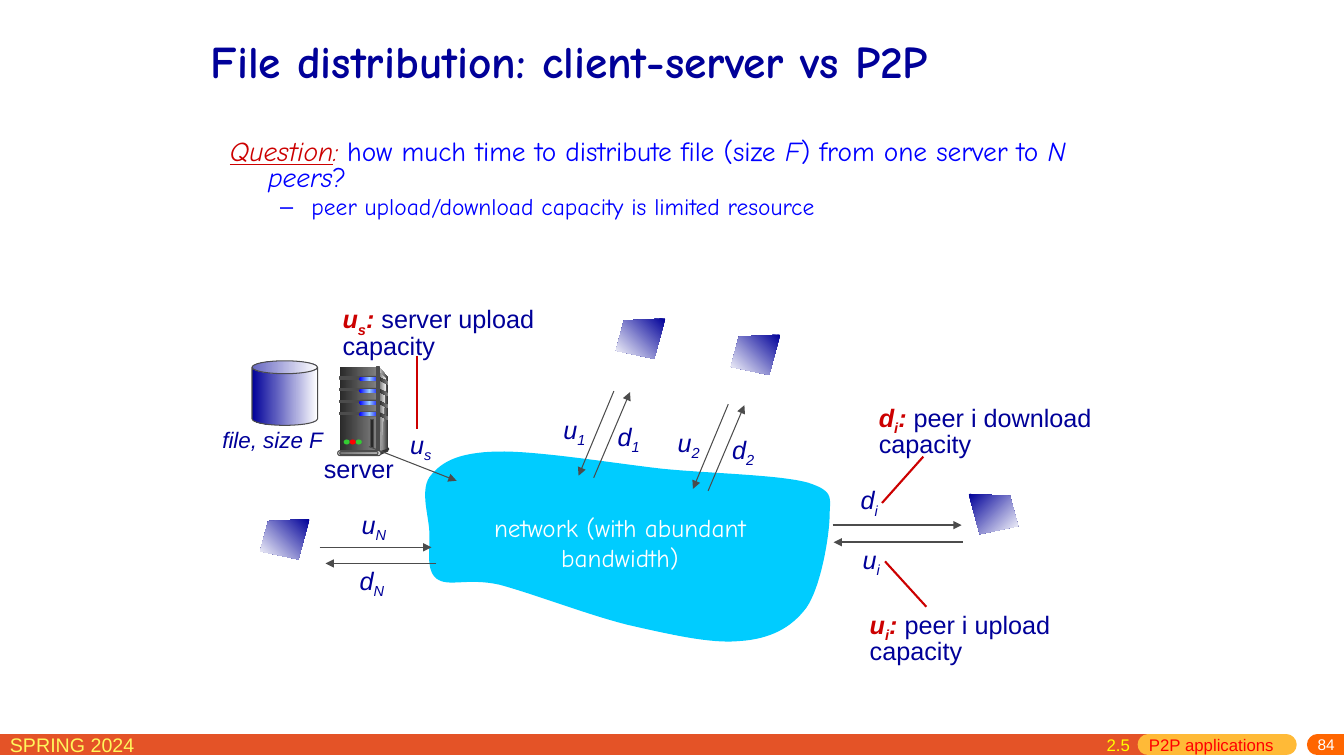
from copy import deepcopy
from dataclasses import dataclass

from pptx import Presentation, util as u
from pptx.dml.color import RGBColor
from pptx.enum import shapes, text
from pptx.oxml import ns, xmlchemy

CELL = u.Inches(0.1)


@dataclass(frozen=True)
class Theme:
    navy: str = "000099"
    blue: str = "0000FF"
    red: str = "CC0000"
    grey: str = "4C4C4C"
    white: str = "FFFFFF"
    cloud: str = "00CCFF"
    bar: str = "E45327"
    tab: str = "FFBA37"
    number: str = "FF6600"
    term: str = "FFF65C"
    yellow: str = "FFFF00"
    bright_red: str = "FF0000"
    green: str = "33CC33"
    black: str = "292929"
    dark: str = "333333"
    middle: str = "808080"
    light: str = "DDDDDD"
    pale: str = "F8F8F8"
    sky: str = "99CCFF"
    steel: str = "777777"
    silver: str = "B2B2B2"
    sans: str = "Arial"
    comic: str = "Comic Neue"
    title: float = 32.4
    question: float = 19.6
    bullet: float = 16.8
    label: float = 18
    caption: float = 16
    term_size: float = 14
    section: float = 12
    page: float = 11


THEME = Theme()
ARROWS = "triangle"
Point = tuple[float, float]


@dataclass(frozen=True)
class Place:
    column: float
    row: float
    columns: float
    rows: float


@dataclass(frozen=True)
class Span:
    words: str
    color: str = THEME.navy
    size: float = THEME.label
    font: str = THEME.sans
    bold: bool = False
    italic: bool = False
    underline: bool = False
    low: bool = False


@dataclass(frozen=True)
class Label:
    place: Place
    spans: tuple[Span, ...]
    align: text.PP_ALIGN = text.PP_ALIGN.LEFT
    spacing: float = 1.0


@dataclass(frozen=True)
class Line:
    start: Point
    end: Point
    color: str = THEME.grey
    width: float = 0.75
    arrow: bool = True


def cells(count: float) -> int:
    return round(count * CELL)


def move(shape, place: Place) -> None:
    shape.left, shape.top = cells(place.column), cells(place.row)
    shape.width, shape.height = cells(place.columns), cells(place.rows)


def write(para, spans: tuple[Span, ...]) -> None:
    for item in spans:
        span = para.add_run()
        span.text = item.words
        span.font.name, span.font.size = item.font, u.Pt(item.size)
        span.font.bold, span.font.italic = item.bold, item.italic
        span.font.underline = item.underline
        span.font.color.rgb = RGBColor.from_string(item.color)
        if item.low:
            span.font._element.set("baseline", "-25000")


def add_label(page, label: Label):
    box = page.shapes.add_textbox(0, 0, CELL, CELL)
    move(box, label.place)
    box.text_frame.word_wrap = True
    para = box.text_frame.paragraphs[0]
    para.alignment, para.line_spacing = label.align, label.spacing
    write(para, label.spans)
    return box


def paint(shape, colors: tuple[str, ...], angle: float = 0, outline: bool = False) -> None:
    shape.shadow.inherit = False
    if len(colors) == 1:
        shape.fill.solid()
        shape.fill.fore_color.rgb = RGBColor.from_string(colors[0])
    else:
        shape.fill.gradient()
        shape.fill.gradient_angle = angle
        stop_list = shape._element.spPr.find(".//" + ns.qn("a:gsLst"))
        while len(stop_list) < len(colors):
            stop_list.append(deepcopy(stop_list[0]))
        for index, (stop, color) in enumerate(zip(shape.fill.gradient_stops, colors)):
            stop.color.rgb = RGBColor.from_string(color)
            stop.position = index / (len(colors) - 1)
    if outline:
        shape.line.color.rgb = RGBColor.from_string(THEME.grey)
        shape.line.width = u.Pt(0.75)
    else:
        shape.line.fill.background()


def add_preset(page, kind: str, place: Place, *colors: str, outline: bool = False, bend: float = 0.5):
    shape = page.shapes.add_shape(shapes.MSO_SHAPE[kind], 0, 0, CELL, CELL)
    move(shape, place)
    if kind in ("ROUNDED_RECTANGLE", "CAN"):
        shape.adjustments[0] = bend
    paint(shape, colors, outline=outline)


def add_outline(page, points: list[Point], *colors: str, angle: float = 0) -> None:
    corners = [(cells(column), cells(row)) for column, row in points]
    builder = page.shapes.build_freeform(*corners[0])
    builder.add_line_segments(corners[1:], close=True)
    paint(builder.convert_to_shape(), colors, angle)


def curve(points: list[Point], steps: int = 16) -> list[Point]:
    result = [points[0]]
    for first in range(0, len(points) - 1, 3):
        knots = points[first:first + 4]
        for step in range(1, steps + 1):
            t = step / steps
            weights = ((1 - t) ** 3, 3 * t * (1 - t) ** 2, 3 * t * t * (1 - t), t ** 3)
            result.append(tuple(sum(w * knot[axis] for w, knot in zip(weights, knots)) for axis in (0, 1)))
    return result


def add_line(page, line: Line, rounded: bool = False) -> None:
    ends = [cells(value) for value in (*line.start, *line.end)]
    link = page.shapes.add_connector(shapes.MSO_CONNECTOR.STRAIGHT, *ends)
    link.line.color.rgb = RGBColor.from_string(line.color)
    link.line.width = u.Pt(line.width)
    stroke = link.line._get_or_add_ln()
    if rounded:
        stroke.set("cap", "rnd")
    if line.arrow:
        add_child(stroke, "a:tailEnd", type=ARROWS)
    add_child(link._element.spPr, "a:effectLst")


def add_child(parent, tag: str, **attributes: str):
    child = xmlchemy.OxmlElement(tag)
    for name, value in attributes.items():
        child.set(name, value)
    parent.append(child)
    return child


def symbol(column: float, row: float, letter: str, index: str) -> Label:
    return Label(Place(column, row, 6.7, 4), (Span(letter, italic=True), Span(index, italic=True, low=True)))


def legend(place: Place, letter: str, index: str, meaning: str) -> Label:
    key = dict(color=THEME.red, bold=True, italic=True)
    return Label(place, (Span(letter, **key), Span(index, low=True, **key), Span(": ", **key), Span(meaning)), spacing=0.85)


def add_screen(page, column: float, row: float, mirrored: bool = False) -> None:
    outline = ((4.9, 0), (0.8, 0.2), (0, 3.2), (3.8, 4))
    points = [(column + (4.9 - x if mirrored else x), row + y) for x, y in outline]
    add_outline(page, points, THEME.navy, THEME.white, angle=315 if mirrored else 225)


def add_footer(page) -> None:
    for start, end, color in ((0, 113.9, THEME.bar), (113.9, 127.6, THEME.tab), (130.7, 133.3, THEME.number)):
        add_line(page, Line((start, 73.9), (end, 73.9), color, 15, False), rounded=True)
    add_label(page, Label(Place(0, 72.2, 22.9, 3.1), (Span("SPRING 2024", THEME.term, THEME.term_size),)))
    number = add_label(page, Label(Place(107.5, 73.2, 25.9, 1.8), (Span("84", THEME.white, THEME.page),), text.PP_ALIGN.RIGHT))
    frame = number.text_frame
    frame.vertical_anchor = text.MSO_ANCHOR.MIDDLE
    frame.margin_top, frame.margin_bottom = 0, u.Inches(0.05)
    section = add_label(page, Label(Place(108.8, 72.4, 20.9, 3.1), ()))
    para = section.text_frame.paragraphs[0]
    tabs = add_child(para._p.get_or_add_pPr(), "a:tabLst")
    add_child(tabs, "a:tab", pos=str(cells(4.2)), algn="l")
    write(para, (Span("2.5\t", THEME.yellow, THEME.section), Span("P2P applications", THEME.bright_red, THEME.section)))


def add_heading(page) -> None:
    title, body = page.placeholders
    for holder, place in ((title, Place(19.9, 1.7, 93.2, 8.5)), (body, Place(21.8, 13.4, 90.3, 9.7))):
        move(holder, place)
        holder.text_frame.auto_size = text.MSO_AUTO_SIZE.NONE
    title.text_frame.vertical_anchor = text.MSO_ANCHOR.MIDDLE
    para = title.text_frame.paragraphs[0]
    para.alignment = text.PP_ALIGN.LEFT
    write(para, (Span("File distribution: client-server vs P2P", THEME.navy, THEME.title, THEME.comic, bold=True),))
    look = dict(size=THEME.question, font=THEME.comic)
    question = (
        Span("Question", THEME.red, italic=True, underline=True, **look),
        Span(":", THEME.red, italic=True, **look),
        Span(" how much time to distribute file (size ", THEME.blue, **look),
        Span("F", THEME.blue, italic=True, **look),
        Span(") from one server to ", THEME.blue, **look),
        Span("N peers", THEME.blue, italic=True, **look),
        Span("?", THEME.blue, **look),
    )
    limit = (Span("peer upload/download capacity is limited resource", THEME.blue, THEME.bullet, THEME.comic),)
    frame = body.text_frame
    rows = ((frame.paragraphs[0], question, 0, 3.8, -3.8, 0), (frame.add_paragraph(), limit, 1, 8.1, -3.1, 3.4))
    for para, spans, level, margin, indent, before in rows:
        para.level, para.line_spacing, para.space_before = level, 0.8, u.Pt(before)
        settings = para._p.get_or_add_pPr()
        settings.set("marL", str(cells(margin)))
        settings.set("indent", str(cells(indent)))
        if level:
            add_child(settings, "a:buChar", char="–")
        else:
            add_child(settings, "a:buNone")
        write(para, spans)


def add_server(page) -> None:
    add_outline(page, [(37.7, 36.5), (38.5, 37.5), (38.5, 44.5), (37.5, 44.8)], THEME.light, THEME.dark)
    add_preset(page, "RECTANGLE", Place(33.7, 36.4, 3.7, 8.4), THEME.black, THEME.middle)
    add_outline(page, [(37.7, 37), (38.3, 37.6), (37.8, 44.6)], THEME.middle, THEME.pale)
    for slot in range(4):
        row = 37.4 + 1.17 * slot
        add_preset(page, "RECTANGLE", Place(33.7, row, 2.1, 0.2), THEME.grey, outline=True)
        add_preset(page, "ROUNDED_RECTANGLE", Place(35.6, row - 0.1, 2.1, 0.5), THEME.grey)
        add_preset(page, "ROUNDED_RECTANGLE", Place(35.65, row, 2, 0.4), THEME.blue, THEME.sky, THEME.blue)
        vent = [(37.6, row), (38.5, row + 0.45), (38.5, row + 0.75), (37.6, row + 0.3)]
        add_outline(page, vent, THEME.black, THEME.middle)
    add_preset(page, "RECTANGLE", Place(37.4, 36.4, 0.2, 8.4), THEME.dark, THEME.light, THEME.dark, outline=True)
    add_preset(page, "OVAL", Place(38.4, 44.4, 0.2, 0.3), THEME.dark)
    add_outline(page, [(37.6, 44.8), (37.6, 45.2), (38.5, 44.8), (38.5, 44.5)], THEME.dark)
    add_preset(page, "ROUNDED_RECTANGLE", Place(33.5, 44.7, 4.3, 0.5), THEME.light, outline=True)
    add_preset(page, "ROUNDED_RECTANGLE", Place(33.7, 44.8, 3.8, 0.3), THEME.steel, THEME.silver, outline=True)
    for lamp, color in enumerate((THEME.green, THEME.bright_red, THEME.green)):
        add_preset(page, "OVAL", Place(34.1 + 0.6 * lamp, 43.6, 0.6, 0.5), color)
    add_preset(page, "RECTANGLE", Place(36.8, 41.6, 0.3, 2.8), THEME.black, outline=True)


def add_network(page) -> None:
    knots = [(49.3, 44.8), (45.5, 44.9), (43.9, 45.8), (42.8, 47.1), (41.6, 48.4), (42.5, 51), (42.6, 52.7),
             (42.7, 54.4), (42.2, 56.5), (43.3, 57.4), (44.5, 58.3), (46.3, 57.3), (49.5, 58),
             (52.6, 58.8), (58.3, 61), (62.3, 62), (66.3, 62.9), (70.5, 63.9), (73.4, 63.6),
             (76.4, 63.4), (78.5, 62.3), (80, 60.3), (81.4, 58.3), (82.2, 53.6), (82.3, 51.5),
             (82.3, 49.4), (82.9, 48.8), (80.2, 47.9), (77.4, 47.1), (70.7, 47), (65.6, 46.5),
             (60.5, 45.9), (53.1, 44.7), (49.3, 44.8)]
    add_outline(page, curve(knots), THEME.cloud)
    white = dict(color=THEME.white, font=THEME.comic)
    box = add_label(page, Label(Place(46.6, 50.3, 29.8, 7.1), (Span("network (with abundant", **white),), text.PP_ALIGN.CENTER))
    para = box.text_frame.add_paragraph()
    para.alignment = text.PP_ALIGN.CENTER
    write(para, (Span("bandwidth)", **white),))


def main() -> None:
    deck = Presentation()
    deck.slide_width, deck.slide_height = cells(133.33), cells(75)
    page = deck.slides.add_slide(deck.slide_layouts[1])
    add_footer(page)
    add_heading(page)
    add_network(page)
    add_preset(page, "CAN", Place(25, 35.8, 6.5, 6.4), THEME.navy, THEME.white, outline=True, bend=0.2)
    add_server(page)
    labels = [
        symbol(39.7, 42.1, "u", "s"), symbol(34.9, 50, "u", "N"), symbol(34.7, 55.6, "d", "N"),
        symbol(84.4, 47.6, "d", "i"), symbol(84.6, 53.5, "u", "i"),
        legend(Place(33, 29.8, 22, 6.1), "u", "s", "server upload capacity"),
        legend(Place(85.3, 60.1, 28.3, 6.2), "u", "i", "peer i upload capacity"),
        legend(Place(86.2, 39.6, 23.2, 6.1), "d", "i", "peer i download capacity"),
        Label(Place(29.2, 44.5, 12.8, 4), (Span("server"),), text.PP_ALIGN.CENTER),
        Label(Place(19.4, 41.8, 15.3, 3.7), (Span("file, size F", size=THEME.caption, italic=True),), text.PP_ALIGN.CENTER),
    ]
    lines = [
        Line((36.6, 44.3), (45.3, 47.7)), Line((31.7, 54.3), (42.8, 54.3)), Line((43.3, 55.9), (32.3, 55.9)),
        Line((82.6, 52.1), (95.4, 52.1), width=1.5), Line((95.5, 53.8), (82.7, 53.8), width=1.5),
    ]
    for start, end in (((41.4, 35.3), (41.4, 42.6)), ((91.6, 45.3), (87.5, 49.9)), ((91.9, 60.2), (87.8, 55.7))):
        lines.append(Line(start, end, THEME.red, 1.5, False))
    for peer in range(2):
        right, down = 11.35 * peer, 1.3 * peer
        labels += [symbol(54.9 + right, 40.6 + down, "u", str(peer + 1)), symbol(60.3 + right, 41.3 + down, "d", str(peer + 1))]
        lines.append(Line((60.9 + right, 38.8 + down), (57.4 + right, 47.2 + down)))
        lines.append(Line((58.9 + right, 47.4 + down), (62.5 + right, 38.9 + down)))
    for line in lines:
        add_line(page, line)
    for label in labels:
        add_label(page, label)
    for column, row, mirrored in ((25.8, 51.5, False), (61.1, 31.6, False), (72.5, 33.2, False), (96.1, 49, True)):
        add_screen(page, column, row, mirrored)
    deck.save("out.pptx")


if __name__ == "__main__":
    main()
